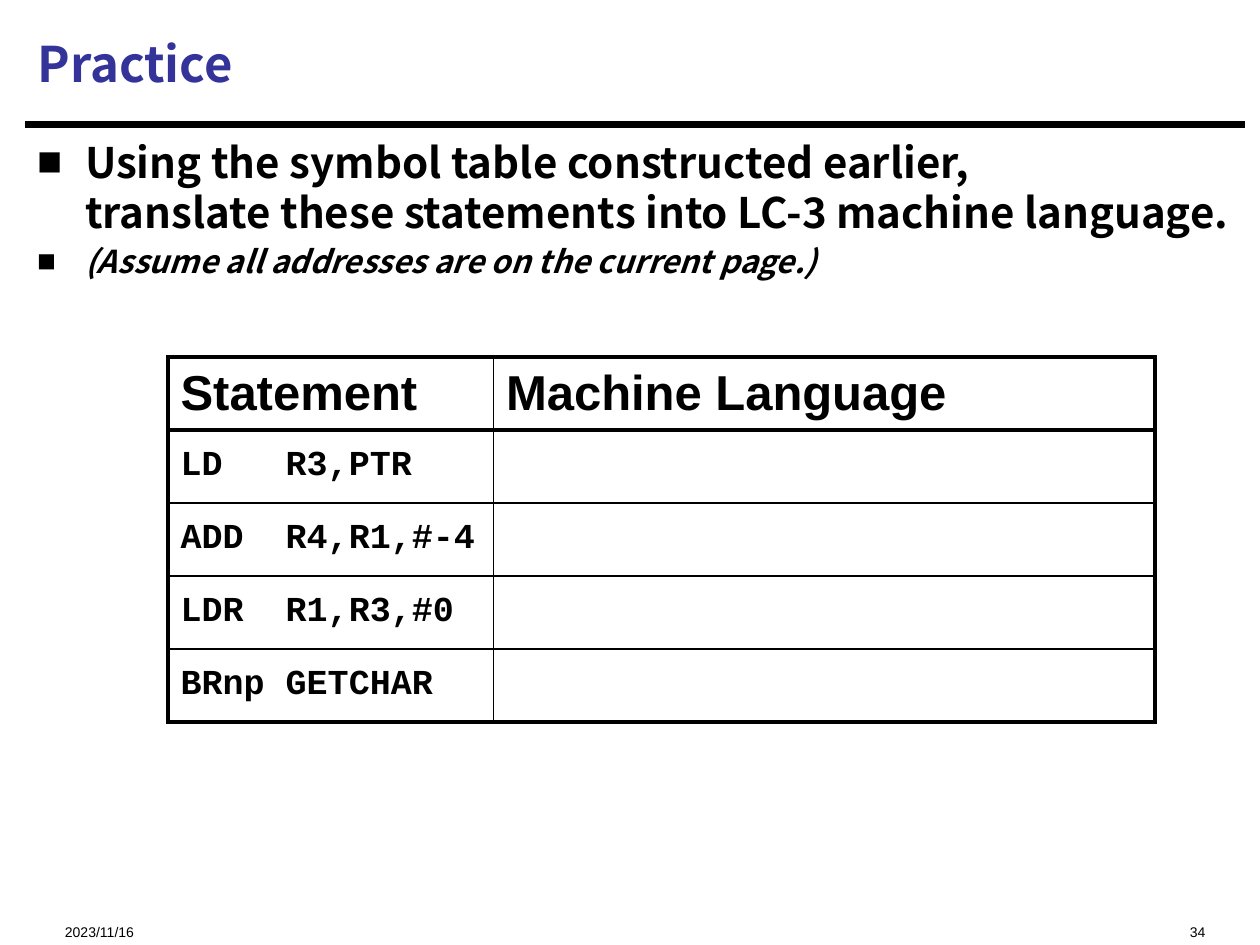
import lxml.etree
import pptx
import pptx.dml.color
import pptx.enum.shapes
import pptx.enum.text
import pptx.oxml.ns
import pptx.util

Pt = pptx.util.Pt
qn = pptx.oxml.ns.qn
Anchor = pptx.enum.text.MSO_ANCHOR
Align = pptx.enum.text.PP_ALIGN

BLACK = pptx.dml.color.RGBColor(0x00, 0x00, 0x00)
WHITE = pptx.dml.color.RGBColor(0xFF, 0xFF, 0xFF)
NAVY = pptx.dml.color.RGBColor(0x33, 0x33, 0x99)
HEADING_FONT = "Noto Sans CJK SC"
PLAIN_FONT = "Arial"
CODE_FONT = "Courier New"
THICK, THIN = 2.25, 1


def apply(target, formats):
    for name, value in formats.items():
        setattr(target, name, value)


def add_xml(parent, tag, **attributes):
    return lxml.etree.SubElement(parent, qn(tag), attributes)


class SlideBuilder:
    """Holds the style and the current slide; lengths are in points."""

    def __init__(self, slide):
        self.slide = slide

    def fill_paragraph(self, paragraph, text, font, size, color=BLACK,
                       bold=True, italic=False, **formats):
        paragraph.text = text
        apply(paragraph, formats)
        for run in paragraph.runs:
            apply(run.font, {"name": font, "size": Pt(size), "bold": bold,
                             "italic": italic})
            run.font.color.rgb = color

    def place(self, shape, left, top, width, height):
        apply(shape, {"left": Pt(left), "top": Pt(top),
                      "width": Pt(width), "height": Pt(height)})

    def frame(self, shape, anchor, **margins):
        apply(shape.text_frame, {"word_wrap": True, "vertical_anchor": anchor,
                                 "auto_size": pptx.enum.text.MSO_AUTO_SIZE.NONE,
                                 **margins})

    def title(self, text, *box):
        shape = self.slide.shapes.title
        self.place(shape, *box)
        self.frame(shape, Anchor.MIDDLE)
        self.fill_paragraph(shape.text_frame.paragraphs[0], text, HEADING_FONT,
                            28, NAVY, alignment=Align.LEFT)

    def bullets(self, items, *box):
        shape = self.slide.placeholders[1]
        self.place(shape, *box)
        self.frame(shape, Anchor.TOP, margin_top=Pt(1), margin_right=0)
        text_frame = shape.text_frame
        for index, (text, size, italic) in enumerate(items):
            paragraph = (text_frame.add_paragraph() if index
                         else text_frame.paragraphs[0])
            self.fill_paragraph(paragraph, text, HEADING_FONT, size,
                                italic=italic, line_spacing=Pt(size * 1.19),
                                space_before=Pt(size * 0.2))
            properties = paragraph._p.get_or_add_pPr()
            properties.set("marL", str(Pt(27)))
            properties.set("indent", str(Pt(-27)))
            add_xml(properties, "a:buSzPct", val="60000")
            add_xml(properties, "a:buFont", typeface=HEADING_FONT)
            add_xml(properties, "a:buChar", char="■")

    def rule(self, left, right, y, weight):
        line = self.slide.shapes.add_connector(
            pptx.enum.shapes.MSO_CONNECTOR.STRAIGHT,
            Pt(left), Pt(y), Pt(right), Pt(y))
        line.line.color.rgb = BLACK
        line.line.width = Pt(weight)
        add_xml(line._element.spPr, "a:effectLst")

    def footer(self, text, alignment, *box):
        shape = self.slide.shapes.add_textbox(0, 0, 0, 0)
        self.place(shape, *box)
        self.frame(shape, Anchor.TOP, margin_top=Pt(13), margin_bottom=0)
        self.fill_paragraph(shape.text_frame.paragraphs[0], text, PLAIN_FONT,
                            8, bold=False, alignment=alignment)

    def borders(self, cell, weights):
        properties = cell._tc.get_or_add_tcPr()
        for side, weight in weights.items():
            line = add_xml(properties, f"a:ln{side}", w=str(Pt(weight)))
            fill = add_xml(line, "a:solidFill")
            add_xml(fill, "a:srgbClr", val=str(BLACK))

    def table(self, rows, column_widths, row_height, left, top):
        last_row, last_column = len(rows) - 1, len(column_widths) - 1
        table = self.slide.shapes.add_table(
            len(rows), len(column_widths), Pt(left), Pt(top),
            Pt(sum(column_widths)), Pt(row_height * len(rows))).table
        apply(table, {"first_row": False, "horz_banding": False})
        for column, width in zip(table.columns, column_widths):
            column.width = Pt(width)
        for r, row in enumerate(rows):
            table.rows[r].height = Pt(row_height)
            font, size = (CODE_FONT, 20) if r else (PLAIN_FONT, 28)
            for c, text in enumerate(row):
                cell = table.cell(r, c)
                # Thick outline and header rule, thin inner grid
                self.borders(cell, {
                    "L": THICK if c == 0 else THIN,
                    "R": THICK if c == last_column else THIN,
                    "T": THICK if r <= 1 else THIN,
                    "B": THICK if r in (0, last_row) else THIN})
                cell.fill.solid()
                cell.fill.fore_color.rgb = WHITE
                cell.vertical_anchor = Anchor.MIDDLE
                if text:
                    self.fill_paragraph(cell.text_frame.paragraphs[0], text,
                                        font, size)


def main():
    presentation = pptx.Presentation()
    apply(presentation, {"slide_width": Pt(720), "slide_height": Pt(540)})
    slide = presentation.slides.add_slide(presentation.slide_layouts[1])
    builder = SlideBuilder(slide)

    # Heading
    builder.title("Practice", 14.4, 5.8, 696, 60.5)
    builder.rule(14.4, 711.4, 71.3, 3.75)

    # Task
    builder.bullets([
        ("Using the symbol table constructed earlier,\v"
         "translate these statements into LC-3 machine language.", 24, False),
        ("(Assume all addresses are on the current page.)", 18, True),
    ], 14.4, 77, 696, 431)

    # Statements to translate
    statements = ["LD   R3,PTR", "ADD  R4,R1,#-4", "LDR  R1,R3,#0",
                  "BRnp GETCHAR"]
    builder.table([("Statement", "Machine Language")]
                  + [(statement, "") for statement in statements],
                  [186, 378], 41.7, 96, 204)

    # Date and page number
    builder.footer("2023/11/16", Align.LEFT, 30, 515, 180, 19.4)
    builder.footer("34", Align.RIGHT, 480, 515, 216, 19.4)

    presentation.save("out.pptx")


if __name__ == "__main__":
    main()
